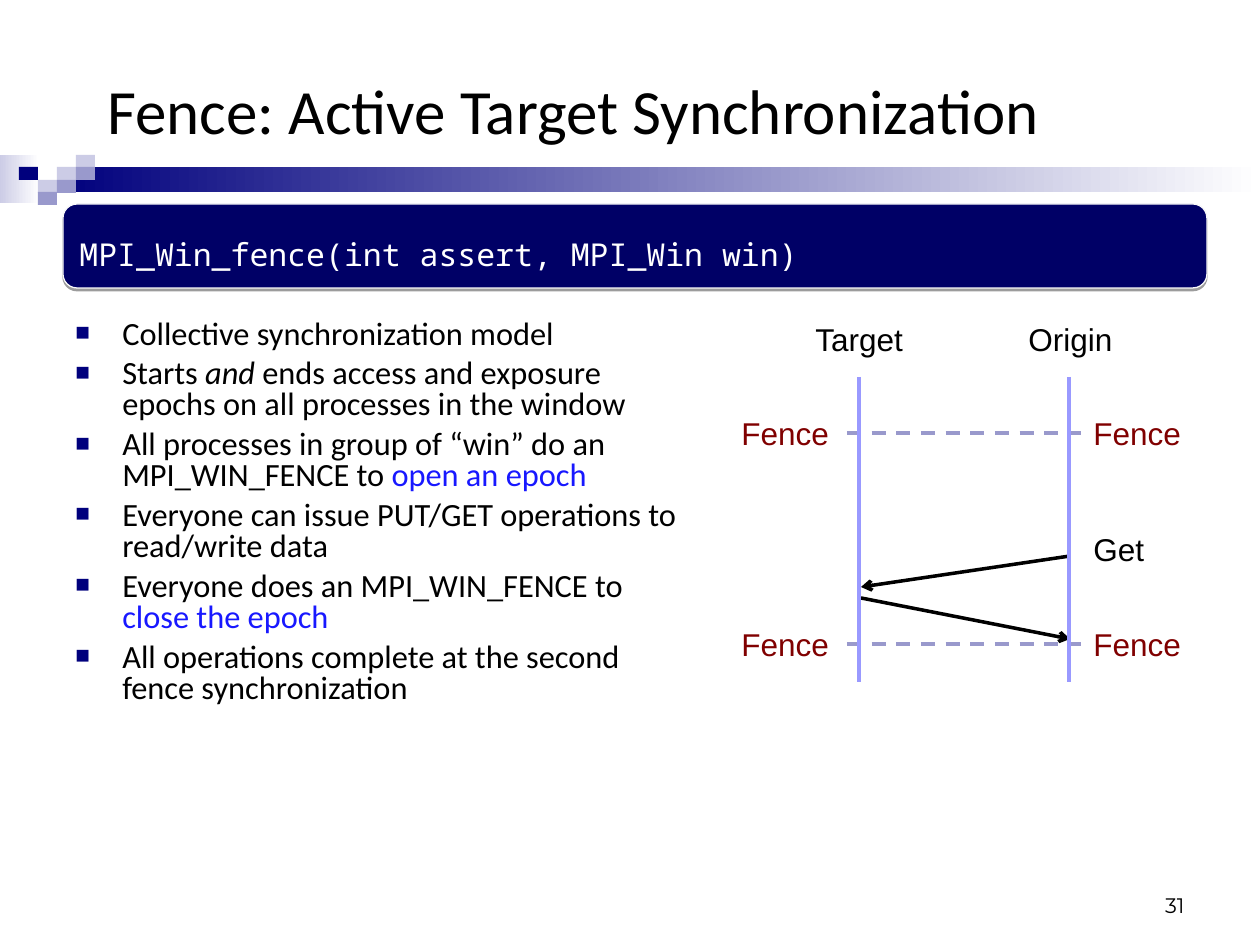
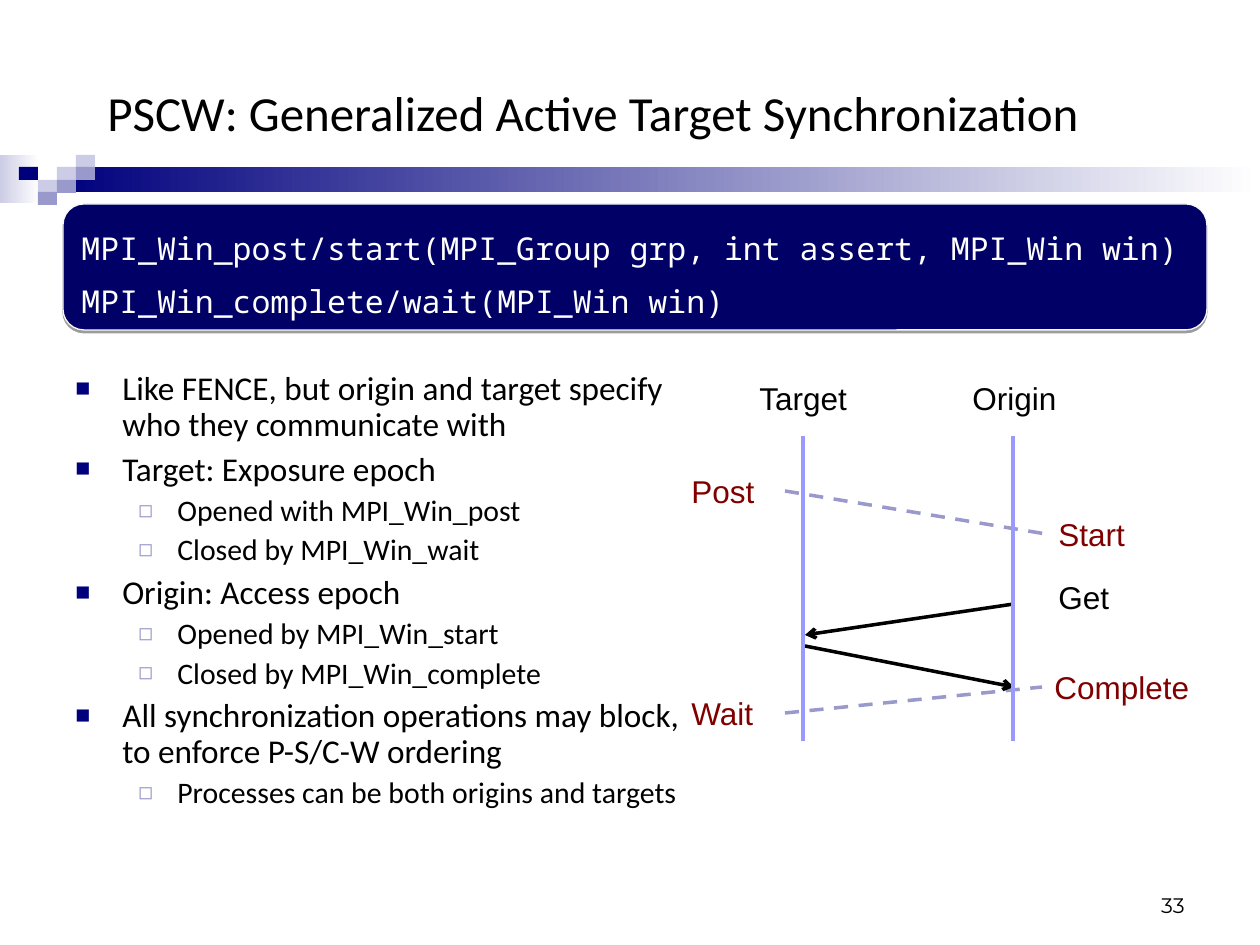
import pptx
import pptx.util
import pptx.dml.color
import pptx.enum.dml
import pptx.enum.shapes
import pptx.enum.text
import pptx.oxml.ns
from lxml import etree

Pt = pptx.util.Pt
qn = pptx.oxml.ns.qn
SHAPE = pptx.enum.shapes.MSO_SHAPE
ANCHOR = pptx.enum.text.MSO_ANCHOR
ALIGN = pptx.enum.text.PP_ALIGN

NAVY, CODE_NAVY = "00007D", "000066"
LILAC, PALE, LIFELINE = "9999CC", "CCCCE6", "9999FF"
BLACK, WHITE, EDGE = "000000", "FFFFFF", "F9F9F9"
MAROON, BLUE = "800000", "1818FF"

BULLETS = [
    {"char": "■", "color": NAVY, "size": 75, "left": 47, "hang": 47},
    {"char": "◻", "color": LILAC, "size": 80, "left": 102, "hang": 39},
]


def px(n):
    return round(n * 914400 / 126)


def rgb(color):
    return pptx.dml.color.RGBColor.from_string(color)


def assign(obj, values):
    for name, value in values.items():
        setattr(obj, name, value)


def add_xml(parent, tag, **attrs):
    return etree.SubElement(parent, qn(tag), attrs)


def add_run(p, text, size, font, color=BLACK, italic=False):
    r = p.add_run()
    r.text = text
    assign(r.font, {"size": Pt(size), "name": font, "italic": italic})
    r.font.color.rgb = rgb(color)


def add_text(s, box, text, size, font, color=BLACK, anchor=ANCHOR.TOP, align=ALIGN.LEFT):
    tf = s.shapes.add_textbox(*map(px, box)).text_frame
    assign(tf, {"word_wrap": True, "vertical_anchor": anchor})
    p = tf.paragraphs[0]
    p.alignment = align
    add_run(p, text, size, font, color)


def add_block(s, box, color, fade=False):
    sp = s.shapes.add_shape(SHAPE.RECTANGLE, *map(px, box))
    sp.shadow.inherit = False
    sp.line.fill.background()
    if fade:
        sp.fill.gradient()
        sp.fill.gradient_angle = 0
        for stop, stop_color in zip(sp.fill.gradient_stops, (color, WHITE)):
            stop.color.rgb = rgb(stop_color)
    else:
        sp.fill.solid()
        sp.fill.fore_color.rgb = rgb(color)


def add_line(s, start, end, color, dash=False, arrow=False):
    line = s.shapes.add_connector(
        pptx.enum.shapes.MSO_CONNECTOR.STRAIGHT, *map(px, (*start, *end)))
    line.line.width = Pt(2)
    line.line.color.rgb = rgb(color)
    if dash:
        line.line.dash_style = pptx.enum.dml.MSO_LINE.DASH
    if arrow:
        add_xml(line._element.spPr.find(qn("a:ln")), "a:tailEnd", type="arrow")
    add_xml(line._element.spPr, "a:effectLst")


def add_band(s, left, top):
    add_block(s, (left, top, 39, 48), PALE, fade=True)
    add_block(s, (left + 57, top + 12, 1203, 25), NAVY, fade=True)
    cells = [(3, 1, PALE), (4, 0, PALE), (4, 1, LILAC), (2, 2, PALE),
             (1, 1, NAVY), (3, 2, LILAC), (2, 3, LILAC)]
    for col, row, color in cells:
        add_block(s, (left + 19 * col, top + 25 * row // 2, 19, 13), color)


def add_frame(prs, title, title_top, title_size, number):
    s = prs.slides.add_slide(prs.slide_layouts[6])
    add_band(s, 0, 155)
    add_text(s, (95, title_top, 1061, 112), title, title_size, "Calibri",
             anchor=ANCHOR.MIDDLE)
    add_text(s, (903, 861, 294, 63), number, 12, "Montserrat",
             anchor=ANCHOR.BOTTOM, align=ALIGN.RIGHT)
    return s


def add_code(s, box, lines):
    sp = s.shapes.add_shape(SHAPE.ROUNDED_RECTANGLE, *map(px, box))
    sp.fill.solid()
    sp.fill.fore_color.rgb = rgb(CODE_NAVY)
    sp.line.color.rgb = rgb(EDGE)
    sp.line.width = Pt(0.75)
    sp.shadow.inherit = False
    effects = sp._element.spPr.find(qn("a:effectLst"))
    shadow = add_xml(effects, "a:outerShdw", blurRad="0", dist=str(Pt(1.6)),
                     dir="5400000", rotWithShape="0")
    shade = add_xml(shadow, "a:srgbClr", val=BLACK)
    add_xml(shade, "a:alpha", val="38000")
    tf = sp.text_frame
    assign(tf, {"word_wrap": True, "vertical_anchor": ANCHOR.MIDDLE})
    for i, line in enumerate(lines):
        p = tf.add_paragraph() if i else tf.paragraphs[0]
        assign(p, {"alignment": ALIGN.LEFT, "line_spacing": 1.4})
        add_run(p, line, 18, "Noto Sans Mono", WHITE)


def set_bullet(p, level):
    b = BULLETS[level]
    pPr = p._p.get_or_add_pPr()
    pPr.set("marL", str(px(b["left"])))
    pPr.set("indent", str(-px(b["hang"])))
    add_xml(add_xml(pPr, "a:buClr"), "a:srgbClr", val=b["color"])
    add_xml(pPr, "a:buSzPct", val=str(b["size"] * 1000))
    add_xml(pPr, "a:buFont", typeface="Arial")
    add_xml(pPr, "a:buChar", char=b["char"])


def add_bullets(s, box, items, sizes, gaps, spacing):
    tf = s.shapes.add_textbox(*map(px, box)).text_frame
    tf.word_wrap = True
    for i, (level, *runs) in enumerate(items):
        p = tf.add_paragraph() if i else tf.paragraphs[0]
        set_bullet(p, level)
        assign(p, {"level": level, "line_spacing": spacing,
                   "space_before": Pt(gaps[level] if i else 0)})
        for text, style in runs:
            add_run(p, text, sizes[level], "Calibri", **style)


def add_sequence(s, left, top, syncs, get_x, get_y, label_width):
    def label(x, y, width, text, color=BLACK):
        add_text(s, (left + x, top + y, width, 50), text, 18, "Arial", color)

    def line(start, end, color, **style):
        add_line(s, (left + start[0], top + start[1]),
                 (left + end[0], top + end[1]), color, **style)

    for (before, x0, y0), (after, x1, y1) in syncs:
        line((x0, y0), (x1, y1), LILAC, dash=True)
        label(x0 - label_width, y0 - 25, label_width, before, MAROON)
        label(x1, y1 - 25, 179, after, MAROON)
    line((211, get_y), (2, get_y + 31), BLACK, arrow=True)
    line((2, get_y + 42), (211, get_y + 83), BLACK, arrow=True)
    for x, name, shift in ((0, "Target", 56), (210, "Origin", 53)):
        line((x, 0), (x, 305), LIFELINE)
        label(x - shift, -63, 126, name)
    label(get_x, get_y - 32, 110, "Get")


def build_fence(prs):
    s = add_frame(prs, "Fence: Active Target Synchronization", 53, 36, "31")
    items = [
        (0, ("Collective synchronization model", {})),
        (0, ("Starts ", {}), ("and", {"italic": True}),
         (" ends access and exposure epochs on all processes in the window", {})),
        (0, ("All processes in group of “win” do an MPI_WIN_FENCE to ", {}),
         ("open an epoch", {"color": BLUE})),
        (0, ("Everyone can issue PUT/GET operations to read/write data", {})),
        (0, ("Everyone does an MPI_WIN_FENCE to ", {}),
         ("close the epoch", {"color": BLUE})),
        (0, ("All operations complete at the second fence synchronization", {})),
    ]
    add_bullets(s, (63, 314, 630, 518), items, (18.5,), (5,), 0.8)
    syncs = [(("Fence", -12, y), ("Fence", 222, y)) for y in (56, 267)]
    add_sequence(s, 859, 377, syncs, 222, 179, 118)
    add_code(s, (63, 204, 1144, 84), ["MPI_Win_fence(int assert, MPI_Win win)"])


def build_pscw(prs):
    s = add_frame(prs, "PSCW: Generalized Active Target Synchronization", 56, 28, "33")
    outline = [
        (0, "Like FENCE, but origin and target specify who they communicate with"),
        (0, "Target: Exposure epoch"),
        (1, "Opened with MPI_Win_post"),
        (1, "Closed by MPI_Win_wait"),
        (0, "Origin: Access epoch"),
        (1, "Opened by MPI_Win_start"),
        (1, "Closed by MPI_Win_complete"),
        (0, "All synchronization operations may block, to enforce P-S/C-W ordering"),
        (1, "Processes can be both origins and targets"),
    ]
    items = [(level, (text, {})) for level, text in outline]
    add_bullets(s, (63, 366, 630, 505), items, (19, 17), (4.8, 4.2), 0.9)
    syncs = [(("Post", -18, 55), ("Start", 243, 98)),
             (("Wait", -18, 277), ("Complete", 239, 251))]
    add_sequence(s, 803, 436, syncs, 243, 168, 106)
    add_code(s, (63, 204, 1144, 126), [
        "MPI_Win_post/start(MPI_Group grp, int assert, MPI_Win win)",
        "MPI_Win_complete/wait(MPI_Win win)",
    ])


def main():
    prs = pptx.Presentation()
    assign(prs, {"slide_width": px(1260), "slide_height": px(945)})
    build_fence(prs)
    build_pscw(prs)
    prs.save("out.pptx")


if __name__ == "__main__":
    main()
